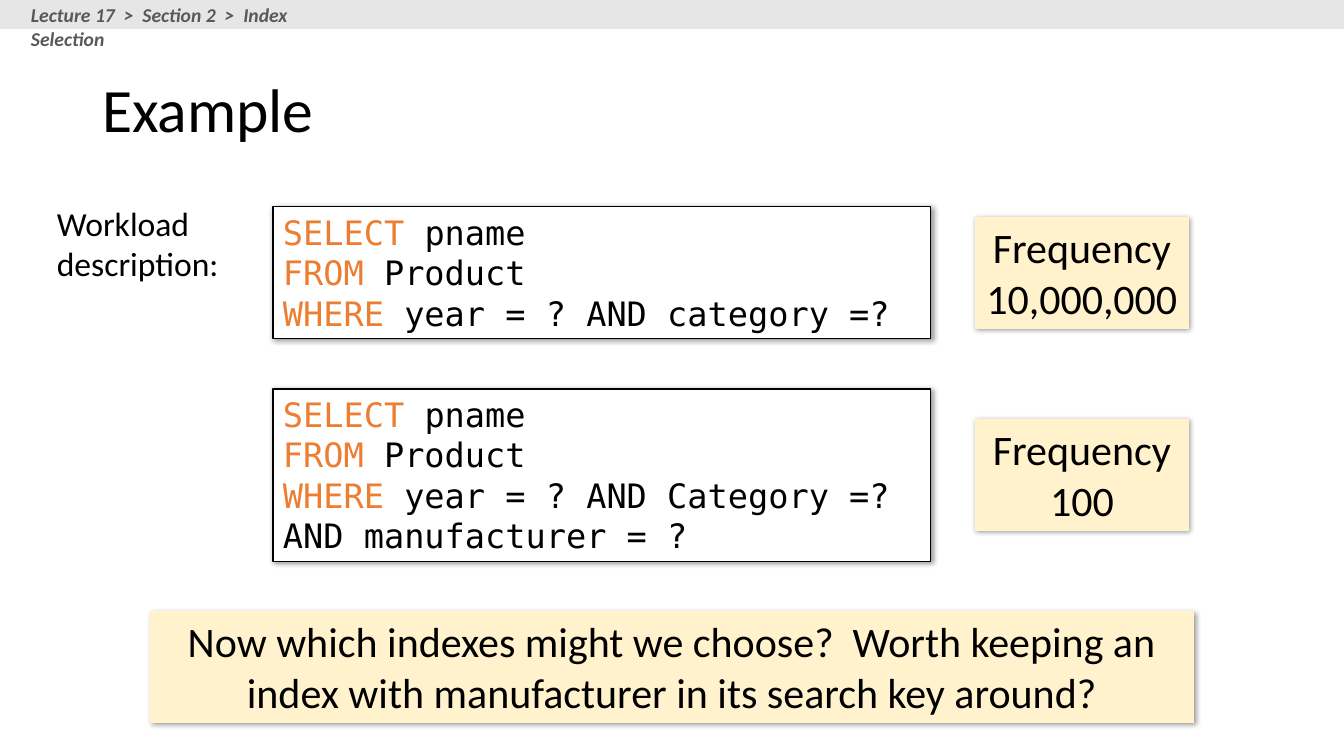
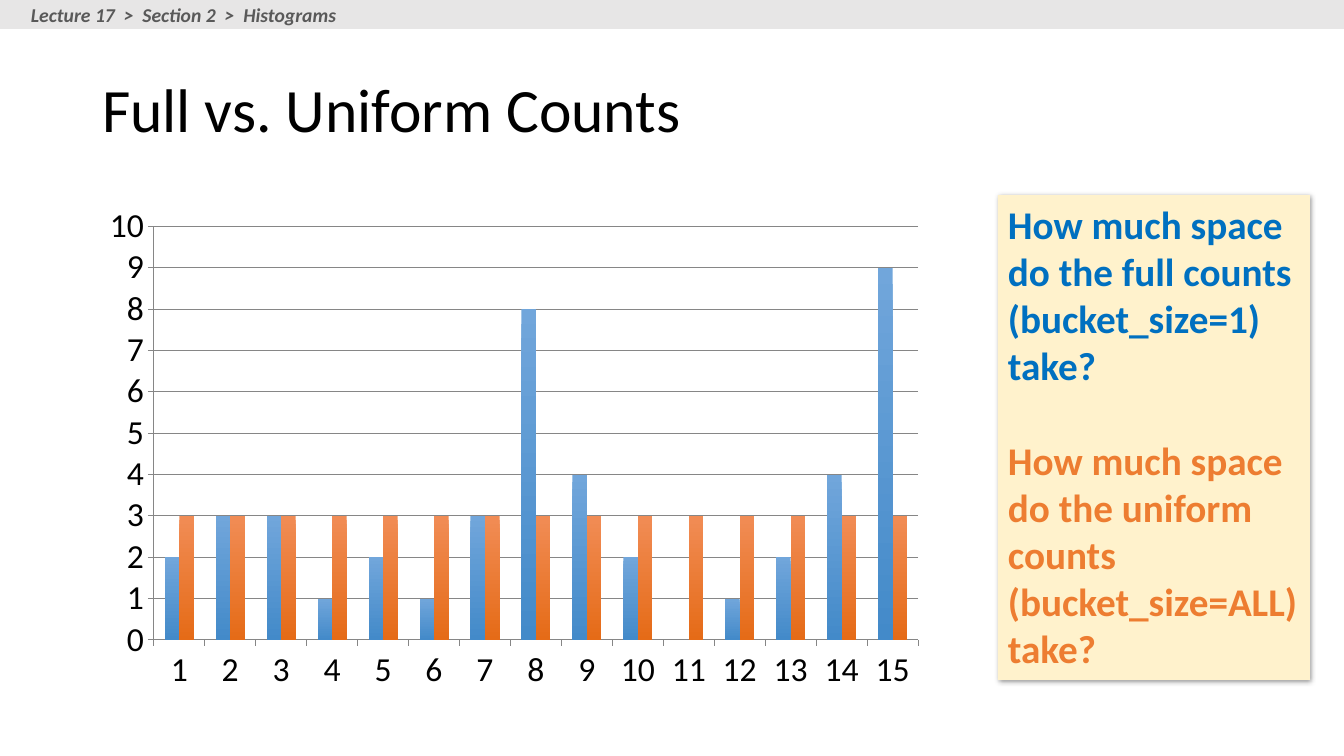
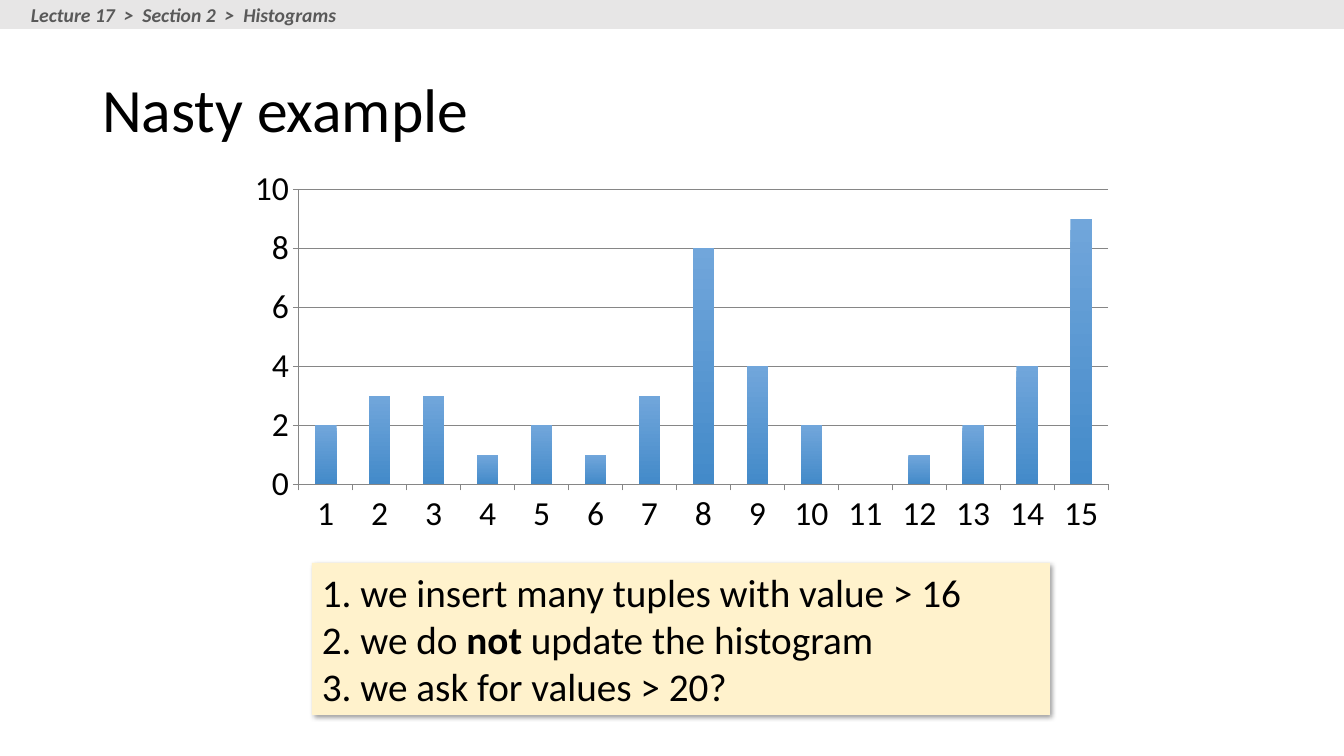
from lxml import etree
from pptx import Presentation
from pptx.chart.data import CategoryChartData
from pptx.dml.color import RGBColor
from pptx.enum.chart import XL_CHART_TYPE, XL_TICK_MARK
from pptx.enum.shapes import MSO_SHAPE
from pptx.enum.text import MSO_ANCHOR, MSO_AUTO_SIZE, PP_ALIGN
from pptx.oxml.ns import qn
from pptx.util import Emu, Pt

RECTANGLE = MSO_SHAPE.RECTANGLE
COLUMNS = XL_CHART_TYPE.COLUMN_CLUSTERED
TICK_OUT = XL_TICK_MARK.OUTSIDE
TOP, MIDDLE = MSO_ANCHOR.TOP, MSO_ANCHOR.MIDDLE
FIT_SHAPE = MSO_AUTO_SIZE.SHAPE_TO_FIT_TEXT
LEFT, CENTER = PP_ALIGN.LEFT, PP_ALIGN.CENTER

BLACK = RGBColor(0x00, 0x00, 0x00)
WHITE = RGBColor(0xFF, 0xFF, 0xFF)
CREAM = RGBColor(0xFF, 0xF2, 0xCC)
BAND_GRAY = RGBColor(0xE7, 0xE6, 0xE6)
CRUMB_GRAY = RGBColor(0x59, 0x59, 0x59)
GRID_GRAY = RGBColor(0x86, 0x86, 0x86)
ORANGE = RGBColor(0xED, 0x7D, 0x31)
BLUE = RGBColor(0x00, 0x70, 0xC0)
BLUE_BARS = (RGBColor(0x71, 0xA6, 0xDB), RGBColor(0x43, 0x8A, 0xC9))
ORANGE_BARS = (RGBColor(0xF1, 0x8C, 0x55), RGBColor(0xE5, 0x6B, 0x17))

SANS, MONO = "Calibri", "DejaVu Sans Mono"
SLIDE_WIDTH, SLIDE_HEIGHT = 1344, 756
EMU_PER_PX = 12192000 / SLIDE_WIDTH

# Content. A paragraph is a list of spans: plain text or (text, format).
KEYWORD = {"color": ORANGE}
SELECT_FROM = [
    [("SELECT ", KEYWORD), "pname"],
    [("FROM", KEYWORD), " Product"],
]
WORKLOAD = [
    {
        "query": SELECT_FROM + [[("WHERE ", KEYWORD), "year = ? AND category =?"]],
        "query_top": 207, "query_height": 132,
        "frequency": "10,000,000", "frequency_top": 217,
    },
    {
        "query": SELECT_FROM + [
            [("WHERE ", KEYWORD), "year = ? AND Category =?"],
            ["AND manufacturer = ?"],
        ],
        "query_top": 389, "query_height": 173,
        "frequency": "100", "frequency_top": 419,
    },
]
INDEX_QUESTION = [["Now which indexes might we choose?  Worth keeping an index "
                   "with manufacturer in its search key around?"]]
SPACE_QUESTIONS = [
    [("How much space do the full counts (bucket_size=1) take?", {"color": BLUE})],
    [("How much space do the uniform counts (bucket_size=ALL) take?",
      {"color": ORANGE})],
]
NASTY_STEPS = [
    ["1. we insert many tuples with value > 16"],
    ["2. we do ", ("not ", {"bold": True}), "update the histogram"],
    ["3. we ask for values > 20?"],
]
FULL_COUNTS = (2, 3, 3, 1, 2, 1, 3, 8, 4, 2, 0, 1, 2, 4, 9)
UNIFORM_COUNTS = (3,) * len(FULL_COUNTS)


def px(*lengths):
    return [Emu(round(length * EMU_PER_PX)) for length in lengths]


def write(frame, paragraphs, size, font=SANS, color=BLACK, bold=False,
          italic=False, align=LEFT, anchor=TOP, line_spacing=None, gap=0):
    """Fill a text frame; gap is the space in points between paragraphs."""
    frame.word_wrap = True
    frame.vertical_anchor = anchor
    for index, spans in enumerate(paragraphs):
        para = frame.add_paragraph() if index else frame.paragraphs[0]
        para.alignment = align
        para.line_spacing = line_spacing
        para.space_before = Pt(gap if index else 0)
        for item in spans:
            if item == "\n":
                para.add_line_break()
                continue
            text, style = (item, {}) if isinstance(item, str) else item
            span = para.add_run()
            span.text = text
            span.font.name = font
            span.font.size = Pt(size)
            span.font.bold = style.get("bold", bold)
            span.font.italic = italic
            span.font.color.rgb = style.get("color", color)


def add_rectangle(shapes, place, fill):
    box = shapes.add_shape(RECTANGLE, *px(*place))
    box.shadow.inherit = False
    box.fill.solid()
    box.fill.fore_color.rgb = fill
    box.line.fill.background()
    return box


def add_soft_shadow(box):
    effects = box._element.spPr.find(qn("a:effectLst"))
    shadow = etree.SubElement(effects, qn("a:outerShdw"), blurRad="50800",
                              dist="12700", dir="2700000", algn="tl",
                              rotWithShape="0")
    tint = etree.SubElement(shadow, qn("a:srgbClr"), val=str(BLACK))
    etree.SubElement(tint, qn("a:alpha"), val="40000")


def add_panel(slide, place, paragraphs, fill=CREAM, line=None, **style):
    box = add_rectangle(slide.shapes, place, fill)
    add_soft_shadow(box)
    if line is not None:
        box.line.color.rgb = line
        box.line.width = Pt(0.75)
    write(box.text_frame, paragraphs, **style)
    box.text_frame.auto_size = FIT_SHAPE


def add_label(shapes, place, text, **style):
    box = shapes.add_textbox(*px(*place))
    write(box.text_frame, [[text]], **style)


def add_count_chart(slide, place, series, major_unit):
    """Draw columns from (values, gradient colours) pairs."""
    data = CategoryChartData()
    data.categories = [str(n + 1) for n in range(len(FULL_COUNTS))]
    for number, (values, _) in enumerate(series, 1):
        data.add_series(f"Series {number}", values)
    chart = slide.shapes.add_chart(COLUMNS, *px(*place), data).chart
    chart.has_title = False
    chart.has_legend = False
    chart.font.name = SANS
    chart.font.size = Pt(24)
    chart.font.color.rgb = BLACK

    plot = chart.plots[0]
    plot.vary_by_categories = False
    plot.gap_width = 150
    plot.overlap = 0
    for bars, (_, colors) in zip(plot.series, series):
        fill = bars.format.fill
        fill.gradient()
        fill.gradient_angle = 270
        for stop, color in zip(fill.gradient_stops, colors):
            stop.color.rgb = color

    counts = chart.value_axis
    counts.minimum_scale, counts.maximum_scale = 0, 10
    counts.major_unit = major_unit
    counts.has_major_gridlines = True
    for axis in (counts, chart.category_axis):
        axis.major_tick_mark = TICK_OUT
    for part in (counts, chart.category_axis, counts.major_gridlines):
        part.format.line.color.rgb = GRID_GRAY
        part.format.line.width = Pt(0.75)


def place_layout_title(layout):
    title = layout.placeholders[0]
    title.left, title.top, title.width, title.height = px(92, 40, 1159, 146)


def add_slide(deck, layout, title, topic):
    slide = deck.slides.add_slide(layout)
    write(slide.shapes.title.text_frame, [[title]], size=44, anchor=MIDDLE,
          line_spacing=0.9)
    header = slide.shapes.add_group_shape().shapes
    add_rectangle(header, (0, 0, SLIDE_WIDTH, 29), BAND_GRAY)
    add_label(header, (21, -2, 348, 34),
              "  >  ".join(("Lecture 17", "Section 2", topic)),
              size=14, color=CRUMB_GRAY, bold=True, italic=True)
    return slide


def fill_workload(slide):
    add_label(slide.shapes, (47, 198, 192, 92), "Workload description:", size=24)
    for entry in WORKLOAD:
        add_panel(slide, (273, entry["query_top"], 658, entry["query_height"]),
                  entry["query"], fill=WHITE, line=BLACK, size=24, font=MONO)
        add_panel(slide, (975, entry["frequency_top"], 214, 112),
                  [["Frequency", "\n", entry["frequency"]]],
                  size=30, align=CENTER)
    add_panel(slide, (150, 611, 1044, 112), INDEX_QUESTION, size=30, align=CENTER)


def fill_counts(slide):
    add_count_chart(slide, (93, 196, 842, 505),
                    [(FULL_COUNTS, BLUE_BARS), (UNIFORM_COUNTS, ORANGE_BARS)],
                    major_unit=1)
    add_panel(slide, (998, 195, 312, 485), SPACE_QUESTIONS, size=28, bold=True,
              gap=34)


def fill_nasty(slide):
    add_count_chart(slide, (237, 161, 889, 382), [(FULL_COUNTS, BLUE_BARS)],
                    major_unit=2)
    add_panel(slide, (312, 563, 738, 152), NASTY_STEPS, size=28)


SLIDES = [
    ("Example", "Index Selection", fill_workload),
    ("Full vs. Uniform Counts", "Histograms", fill_counts),
    ("Nasty example", "Histograms", fill_nasty),
]


def main():
    deck = Presentation()
    deck.slide_width, deck.slide_height = px(SLIDE_WIDTH, SLIDE_HEIGHT)
    layout = deck.slide_layouts.get_by_name("Title Only")
    place_layout_title(layout)
    for title, topic, fill_slide in SLIDES:
        fill_slide(add_slide(deck, layout, title, topic))
    deck.save("out.pptx")


if __name__ == "__main__":
    main()
